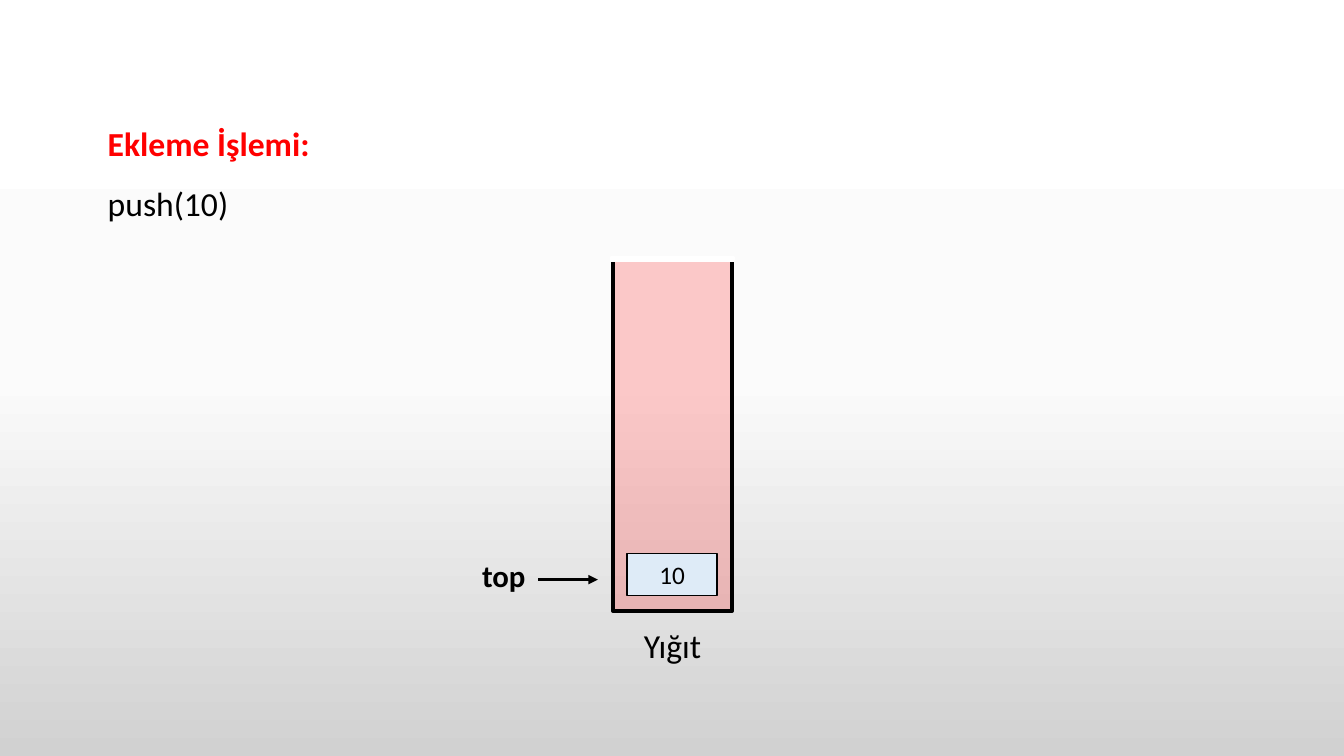
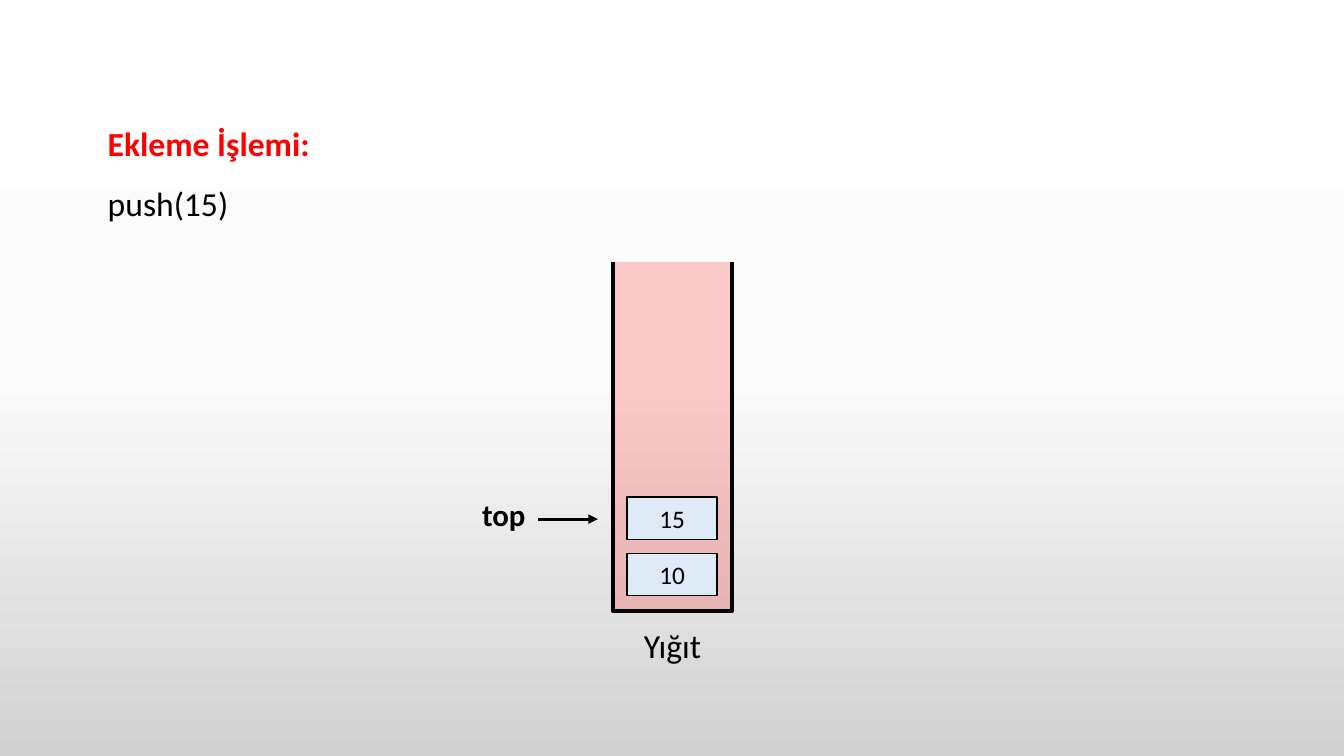
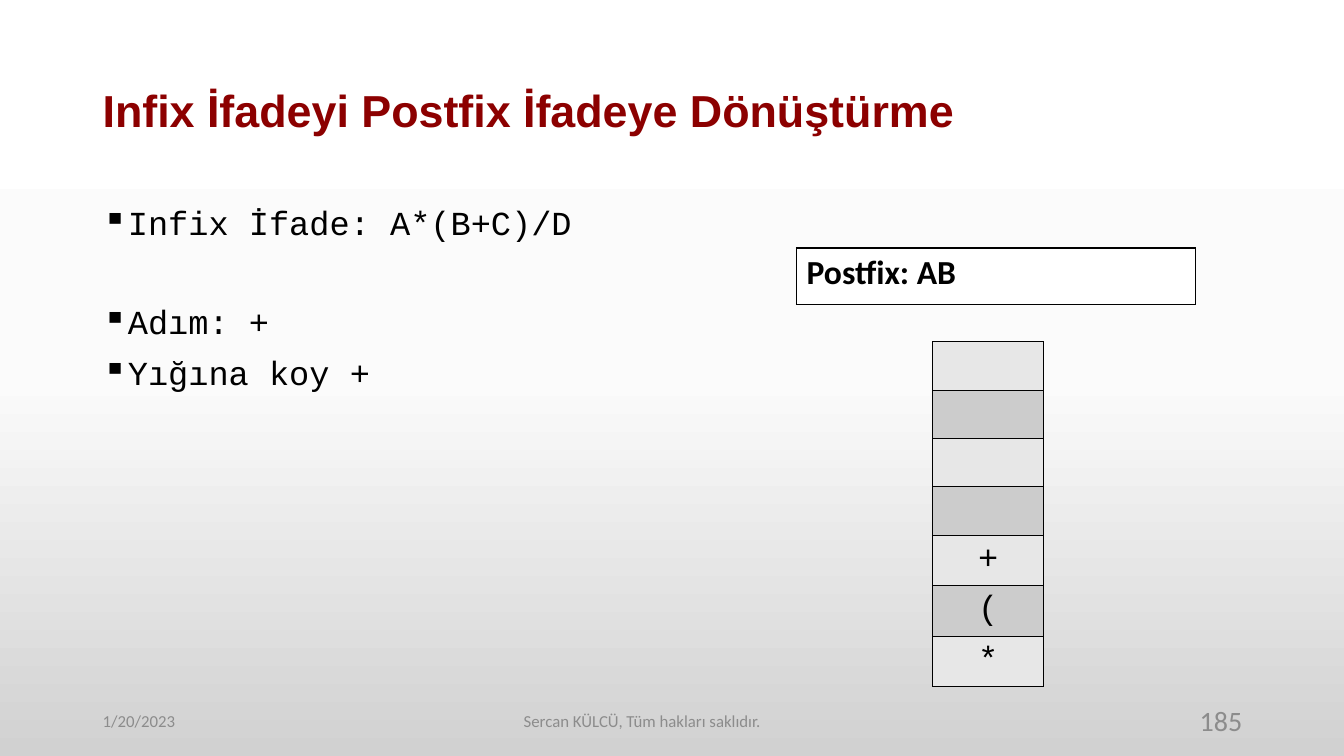
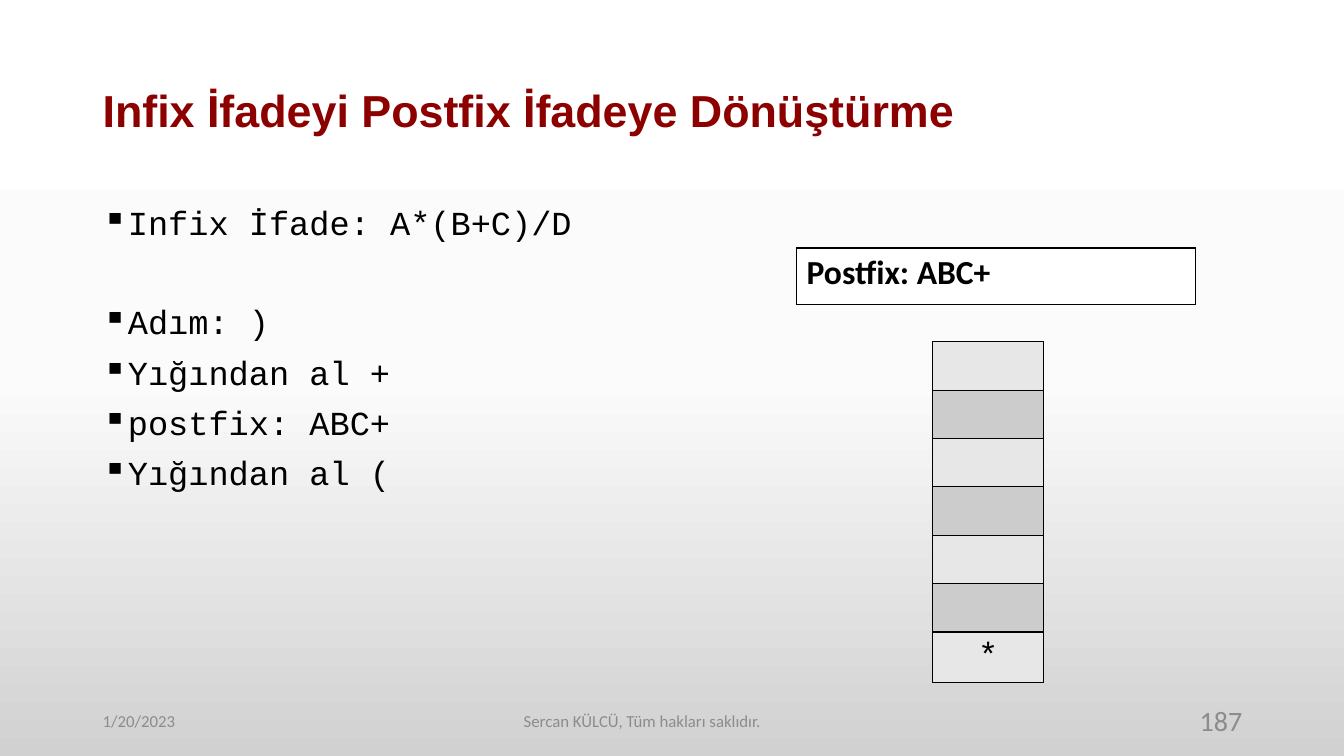
import lxml.etree
import pptx
import pptx.dml.color
import pptx.enum.shapes
import pptx.enum.text
import pptx.oxml.ns
import pptx.util

PX = 9144  # EMU in one px, 100 px to the inch
WIDTH, HEIGHT = 1333, 750
COLORS = {
    "black": "000000", "white": "FFFFFF", "red": "FF0000", "title": "8C0000",
    "footer": "8C8C8C", "block": "DEEBF7", "light": "E7E7E7", "dark": "CCCCCC",
    "middle": "FBFBFB", "bottom": "D1D1D1",
}
BACKDROP = [(0, "white"), (50, "middle"), (100, "bottom")]
ALIGN = pptx.enum.text.PP_ALIGN
ANCHOR = pptx.enum.text.MSO_ANCHOR
RECTANGLE = pptx.enum.shapes.MSO_SHAPE.RECTANGLE
qn = pptx.oxml.ns.qn

TITLE_BOX = (92, 40, 1150, 145)
BODY_BOX = (92, 200, 1150, 512)
FOOTER_BOX = (92, 695, 1150, 40)
CALL_BOX = (97, 97, 222, 125)
STACK_BOX = (608, 257, 118, 349)
CELLS_BOX = (925, 339, 110, 336)
POSTFIX_BOX = (790, 246, 396, 56)
CELL_COUNT = 7


def emu(*lengths):
    return [pptx.util.Emu(length * PX) for length in lengths]


def rgb(name):
    return pptx.dml.color.RGBColor.from_string(COLORS[name])


def add_xml(parent, tag, **attributes):
    return lxml.etree.SubElement(parent, qn(tag), attributes)


def write(para, text, *, size=24, font="Calibri", color="black", bold=False,
          align=ALIGN.LEFT, spacing=None, before=None):
    """Add one formatted run to a paragraph."""
    para.alignment = align
    if spacing:
        para.line_spacing = spacing
    if before is not None:
        para.space_before = pptx.util.Pt(before)
    span = para.add_run()
    span.text = text
    span.font.size = pptx.util.Pt(size)
    span.font.name = font
    span.font.bold = bold
    span.font.color.rgb = rgb(color)


def add_box(page, box, *, wrap=True, anchor=ANCHOR.TOP):
    frame = page.shapes.add_textbox(*emu(*box)).text_frame
    frame.word_wrap = wrap
    frame.vertical_anchor = anchor
    if not wrap:
        frame.auto_size = pptx.enum.text.MSO_AUTO_SIZE.SHAPE_TO_FIT_TEXT
    return frame


def add_rectangle(page, box, *, fill, line="black", weight=1, opacity=None):
    shape = page.shapes.add_shape(RECTANGLE, *emu(*box))
    shape.shadow.inherit = False
    shape.fill.solid()
    shape.fill.fore_color.rgb = rgb(fill)
    shape.line.color.rgb = rgb(line)
    shape.line.width = pptx.util.Pt(weight)
    if opacity is not None:
        tint = shape._element.spPr.find(qn("a:solidFill"))[0]
        add_xml(tint, "a:alpha", val=str(opacity * 1000))
    return shape


def add_arrow(page, left, right, middle):
    arrow = page.shapes.add_connector(
        pptx.enum.shapes.MSO_CONNECTOR.STRAIGHT, *emu(left, middle, right, middle))
    arrow.line.color.rgb = rgb("black")
    arrow.line.width = pptx.util.Pt(2.25)
    properties = arrow._element.spPr
    add_xml(properties.find(qn("a:ln")), "a:tailEnd", type="triangle")
    add_xml(properties, "a:effectLst")


def set_backdrop(master):
    """Give every slide the vertical grey gradient."""
    fill = master.background.fill
    fill.gradient()
    fill.gradient_angle = 270
    stops = master._element.find(".//" + qn("p:bgPr")).find(".//" + qn("a:gsLst"))
    for stop in list(stops):
        stops.remove(stop)
    for position, color in BACKDROP:
        stop = add_xml(stops, "a:gs", pos=str(position * 1000))
        add_xml(stop, "a:srgbClr", val=COLORS[color])


# Push slides
def add_call(page, box, value):
    frame = add_box(page, box, wrap=False)
    write(frame.paragraphs[0], "Ekleme İşlemi:", color="red", bold=True, spacing=1.5)
    write(frame.add_paragraph(), f"push({value})", spacing=1.5)


def add_top_pointer(page, box, level):
    left, top, _, height = box
    middle = top + height - 31 - level * 60
    add_arrow(page, left - 74, left - 15, middle)
    label = add_box(page, (left - 141, middle - 28, 64, 47), wrap=False)
    write(label.paragraphs[0], "top", size=22, bold=True, align=ALIGN.RIGHT)


def add_stack(page, box, values):
    left, top, width, height = box
    add_rectangle(page, box, fill="red", weight=3, opacity=20)
    # White strip that opens the top of the container
    add_rectangle(page, (left - 2, top - 2, width + 4, 4), fill="white", line="white")
    caption = add_box(page, (left + 20, top + height + 9, 78, 50), wrap=False)
    write(caption.paragraphs[0], "Yığıt", align=ALIGN.CENTER)
    for level, value in enumerate(values):
        block_top = top + height - 57 - level * 56
        block = add_rectangle(page, (left + 14, block_top, 89, 42), fill="block")
        block.text_frame.vertical_anchor = ANCHOR.MIDDLE
        write(block.text_frame.paragraphs[0], str(value), size=18, align=ALIGN.CENTER)


def push_slide(page, values):
    add_top_pointer(page, STACK_BOX, len(values) - 1)
    add_call(page, CALL_BOX, values[-1])
    add_stack(page, STACK_BOX, values)


# Conversion slides
def add_title(page, box, text):
    frame = add_box(page, box, anchor=ANCHOR.MIDDLE)
    write(frame.paragraphs[0], text, size=32, font="Arial", color="title",
          bold=True, spacing=0.9)


def add_bullets(page, box, expression, steps):
    frame = add_box(page, box)
    for index, text in enumerate([expression, *steps]):
        para = frame.add_paragraph() if index else frame.paragraphs[0]
        properties = para._p.get_or_add_pPr()
        indent = 25 * PX
        properties.set("marL", str(indent))
        properties.set("indent", str(-indent))
        add_xml(properties, "a:buChar", char="▪")
        # The steps stand one line apart from the expression
        before = {0: 0, 1: 45}.get(index, 10)
        write(para, text, font="Courier New", spacing=0.9, before=before)


def add_footer(page, box, number):
    left, top, width, height = box
    parts = [
        (left, 300, "1/20/2023", 12, ALIGN.LEFT),
        (left + 166, 758, "Sercan KÜLCÜ, Tüm hakları saklıdır.", 12, ALIGN.CENTER),
        (left + width - 300, 300, str(number), 20, ALIGN.RIGHT),
    ]
    for part_left, part_width, text, size, align in parts:
        frame = add_box(page, (part_left, top, part_width, height), anchor=ANCHOR.MIDDLE)
        write(frame.paragraphs[0], text, size=size, color="footer", align=align)


def add_column(page, box, texts, fills, *, anchor=ANCHOR.TOP, **style):
    """Add a one-column table whose fills alternate down the rows."""
    table = page.shapes.add_table(len(texts), 1, *emu(*box)).table
    table.first_row = table.horz_banding = False
    for index, text in enumerate(texts):
        table.rows[index].height = emu(box[3] // len(texts))[0]
        cell = table.cell(index, 0)
        cell.vertical_anchor = anchor
        for side in "LRTB":
            border = add_xml(cell._tc.get_or_add_tcPr(), f"a:ln{side}", w="12700")
            add_xml(add_xml(border, "a:solidFill"), "a:srgbClr", val=COLORS["black"])
        cell.fill.solid()
        cell.fill.fore_color.rgb = rgb(fills[index % len(fills)])
        if text:
            write(cell.text_frame.paragraphs[0], text, **style)


def conversion_slide(page, number, postfix, steps, symbols):
    add_title(page, TITLE_BOX, "Infix İfadeyi Postfix İfadeye Dönüştürme")
    add_bullets(page, BODY_BOX, "Infix İfade: A*(B+C)/D", steps)
    add_footer(page, FOOTER_BOX, number)
    cells = [""] * (CELL_COUNT - len(symbols)) + list(symbols)
    add_column(page, CELLS_BOX, cells, ["light", "dark"], anchor=ANCHOR.MIDDLE,
               font="Courier New", align=ALIGN.CENTER)
    add_column(page, POSTFIX_BOX, [f"Postfix: {postfix}"], ["white"], bold=True)


def main():
    deck = pptx.Presentation()
    deck.slide_width, deck.slide_height = emu(WIDTH, HEIGHT)
    set_backdrop(deck.slide_master)
    blank = deck.slide_layouts[6]
    for values in ([10], [10, 15]):
        push_slide(deck.slides.add_slide(blank), values)
    conversions = [
        (185, "AB", ["Adım: +", "Yığına koy +"], "+(*"),
        (187, "ABC+", ["Adım: )", "Yığından al +", "postfix: ABC+", "Yığından al ("], "*"),
    ]
    for conversion in conversions:
        conversion_slide(deck.slides.add_slide(blank), *conversion)
    deck.save("out.pptx")


if __name__ == "__main__":
    main()
